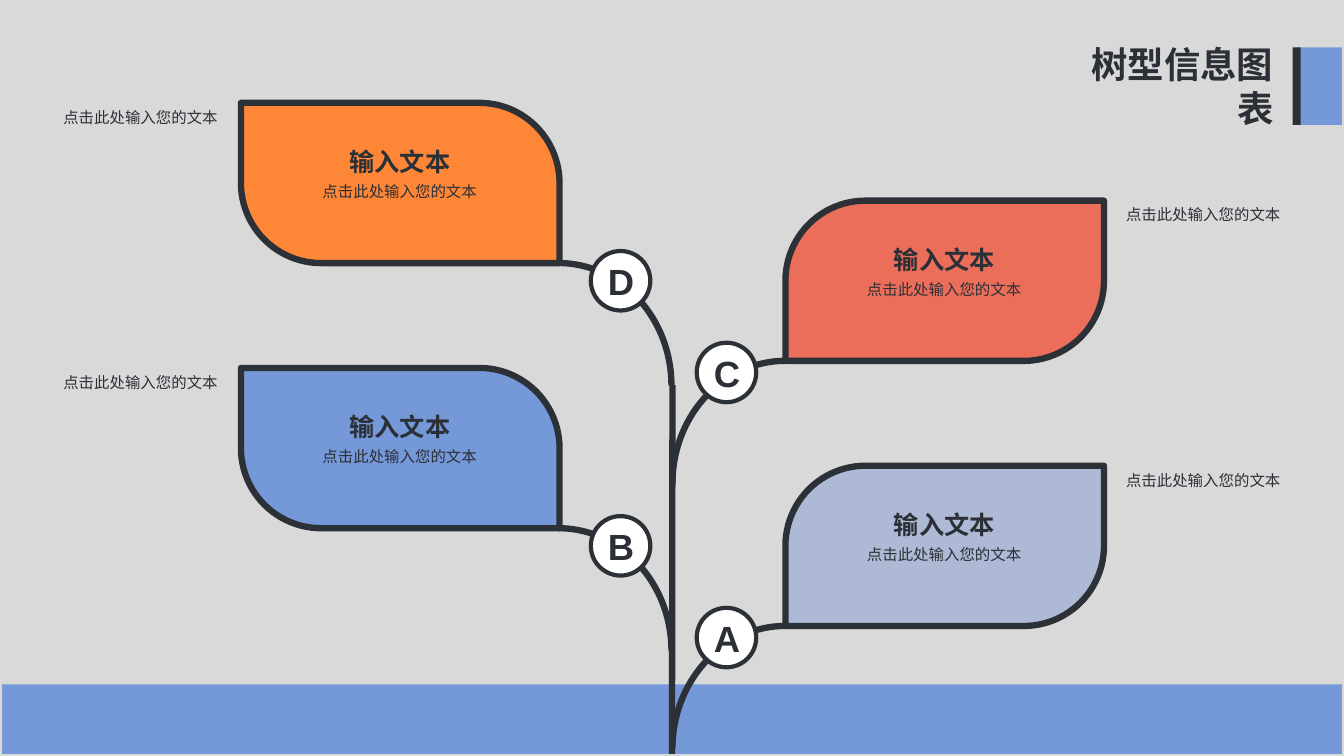
from dataclasses import dataclass
from lxml.etree import SubElement
from pptx import Presentation
from pptx.dml.color import RGBColor
from pptx.enum.shapes import MSO_CONNECTOR, MSO_SHAPE
from pptx.enum.text import MSO_AUTO_SIZE, PP_ALIGN
from pptx.oxml.ns import qn
from pptx.util import Inches, Pt

COLORS = {
    "background": "D9D9D9", "ink": "2B2F36", "outline": "2C3037", "white": "FFFFFF",
    "blue": "7598D9", "coral": "EB6E5A", "mist": "AEBAD5", "orange": "FE8637",
}
HEADING = "输入文本"
PROMPT = "点击此处输入您的文本"
LEAF_WIDTH, LEAF_HEIGHT = 3.16, 1.59


def rgb(name):
    return RGBColor.from_string(COLORS[name])


@dataclass
class Side:
    leaf: float
    corners: tuple
    arc: float
    angles: tuple
    node: float
    node_drop: float
    note: float
    note_align: PP_ALIGN


LEFT = Side(2.39, (0, 0.5), 4.42, (162, 0), 5.86, 1.47, 0.5, PP_ALIGN.RIGHT)
RIGHT = Side(7.79, (0.5, 0), 6.67, (108, 162), 6.91, 1.41, 11.07, PP_ALIGN.LEFT)
BRANCHES = [
    (RIGHT, 1.99, "coral", "C"),
    (RIGHT, 4.62, "mist", "A"),
    (LEFT, 1.02, "orange", "D"),
    (LEFT, 3.65, "blue", "B"),
]


class TreeSlide:
    font = "Arial"
    stroke = 4.5

    def __init__(self, slide):
        self.slide = slide
        slide.background.fill.solid()
        slide.background.fill.fore_color.rgb = rgb("background")

    def shape(self, kind, left, top, width, height, fill=None, stroke=None, adjust=()):
        shape = self.slide.shapes.add_shape(
            kind, Inches(left), Inches(top), Inches(width), Inches(height))
        shape.shadow.inherit = False
        for index, value in enumerate(adjust):
            shape.adjustments[index] = value
        if fill:
            shape.fill.solid()
            shape.fill.fore_color.rgb = rgb(fill)
        else:
            shape.fill.background()
        if stroke:
            shape.line.color.rgb = rgb("outline")
            shape.line.width = Pt(stroke)
        else:
            shape.line.fill.background()
        return shape

    def trunk(self, x, top, bottom, ground):
        trunk = self.slide.shapes.add_connector(
            MSO_CONNECTOR.STRAIGHT, Inches(x), Inches(top), Inches(x), Inches(bottom))
        trunk.end_connect(ground, 2)
        trunk.line.color.rgb = rgb("outline")
        trunk.line.width = Pt(self.stroke)
        SubElement(trunk.element.spPr, qn("a:effectLst"))

    def text(self, left, top, width, height, words, size,
             bold=False, align=PP_ALIGN.CENTER, wrap=True):
        box = self.slide.shapes.add_textbox(
            Inches(left), Inches(top), Inches(width), Inches(height))
        frame = box.text_frame
        frame.word_wrap = wrap
        frame.auto_size = MSO_AUTO_SIZE.SHAPE_TO_FIT_TEXT
        paragraph = frame.paragraphs[0]
        paragraph.alignment = align
        run = paragraph.add_run()
        run.text = words
        run.font.name = self.font
        run.font.size = Pt(size)
        run.font.bold = bold
        run.font.color.rgb = rgb("ink")

    def leaf(self, side, top, color):
        self.shape(MSO_SHAPE.ROUND_2_DIAG_RECTANGLE, side.leaf, top, LEAF_WIDTH,
                   LEAF_HEIGHT, color, self.stroke, side.corners)
        self.shape(MSO_SHAPE.ARC, side.arc, top + LEAF_HEIGHT, 2.24, 2.43,
                   stroke=self.stroke, adjust=side.angles)

    def node(self, side, top, letter):
        node_top = top + side.node_drop
        self.shape(MSO_SHAPE.OVAL, side.node, node_top, 0.59, 0.59, "white", 3)
        self.text(side.node + 0.07, node_top + 0.03, 0.46, 0.53, letter, 26,
                  bold=True, wrap=False)

    def captions(self, side, top):
        self.text(side.note, top, 1.76, 0.28, PROMPT, 11, align=side.note_align)
        self.text(side.leaf + 0.23, top + 0.38, 2.69, 0.4, HEADING, 18, bold=True)
        self.text(side.leaf + 0.23, top + 0.74, 2.69, 0.28, PROMPT, 11)


def main():
    deck = Presentation()
    deck.slide_width, deck.slide_height = Inches(13.33), Inches(7.5)
    tree = TreeSlide(deck.slides.add_slide(deck.slide_layouts[6]))

    ground = tree.shape(MSO_SHAPE.RECTANGLE, 0.02, 6.79, 13.29, 0.69, "blue")
    tree.shape(MSO_SHAPE.RECTANGLE, 12.86, 0.47, 0.45, 0.77, "blue")
    tree.text(10.38, 0.37, 2.35, 0.96, "树型信息图表", 26, bold=True, align=PP_ALIGN.RIGHT)
    tree.shape(MSO_SHAPE.RECTANGLE, 12.82, 0.47, 0.08, 0.77, "ink")

    for side, top, color, _ in BRANCHES:
        tree.leaf(side, top, color)
    tree.trunk(6.67, 3.82, 7.48, ground)
    for side, top, _, letter in BRANCHES:
        tree.node(side, top, letter)
        tree.captions(side, top)

    deck.save("out.pptx")


if __name__ == "__main__":
    main()
